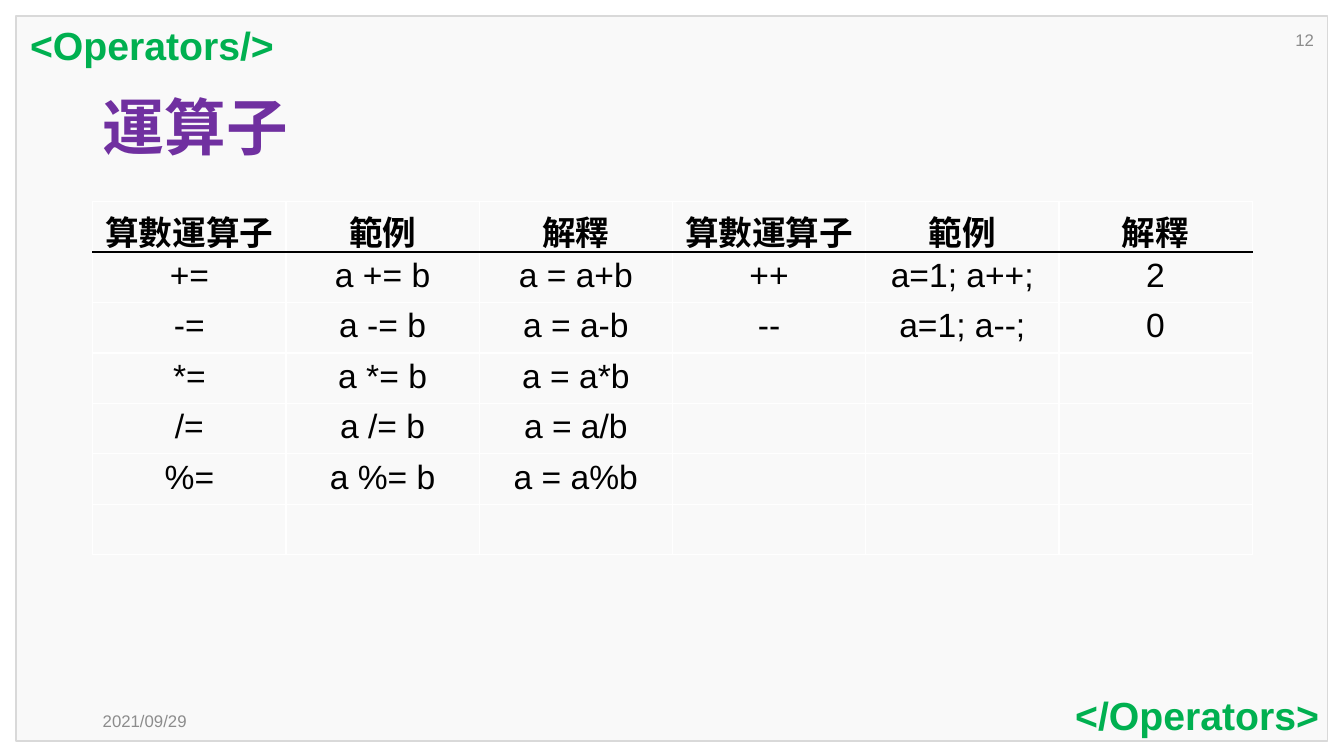
from lxml import etree
from pptx import Presentation
from pptx import util as u
from pptx.dml.color import RGBColor
from pptx.enum import shapes, text
from pptx.oxml import ns

TITLE = "運算子"
LABELS = [
    ("2021/09/29", (0.92, 6.95, 1.05, 0.4), dict(size=12, color="8C8C8C", anchor="MIDDLE")),
    ("12", (12.71, 0.2, 0.42, 0.4), dict(size=12, color="8C8C8C", align="RIGHT", anchor="MIDDLE")),
    ("<Operators/>", (0.2, 0.16, 2.65, 0.57), dict(size=28, color="00B050", bold=True, wrap=False)),
    ("</Operators>", (10.53, 6.81, 2.65, 0.57),
     dict(size=28, color="00B050", bold=True, align="RIGHT", wrap=False)),
]
HEADINGS = ["算數運算子", "範例", "解釋"] * 2
ROWS = [
    HEADINGS,
    ["+=", "a += b", "a = a+b", "++", "a=1; a++;", "2"],
    ["-=", "a -= b", "a = a-b", "--", "a=1; a--;", "0"],
    ["*=", "a *= b", "a = a*b"],
    ["/=", "a /= b", "a = a/b"],
    ["%=", "a %= b", "a = a%b"],
    [],
]
TABLE_WIDTH, ROW_HEIGHT = 11.5, 0.5


def rgb(value):
    return RGBColor.from_string(value)


def inches(box):
    return [u.Inches(length) for length in box]


def write(frame, content, size, color="000000", bold=False, align="LEFT",
          anchor="TOP", wrap=True, spacing=None):
    frame.word_wrap = wrap
    frame.vertical_anchor = getattr(text.MSO_ANCHOR, anchor)
    paragraph = frame.paragraphs[0]
    paragraph.alignment = getattr(text.PP_ALIGN, align)
    paragraph.line_spacing = spacing
    run = paragraph.add_run()
    run.text = content
    run.font.name = "Arial"
    run.font.size = u.Pt(size)
    run.font.bold = bold
    run.font.color.rgb = rgb(color)


def set_border(cell, side, color="000000"):
    line = etree.Element(ns.qn("a:ln" + side), w=str(u.Pt(1)))
    fill = etree.SubElement(line, ns.qn("a:solidFill"))
    etree.SubElement(fill, ns.qn("a:srgbClr"), val=color)
    cell._tc.get_or_add_tcPr().insert(0, line)


presentation = Presentation()
presentation.slide_width, presentation.slide_height = inches((13.33, 7.5))
slide = presentation.slides.add_slide(presentation.slide_layouts[5])

panel = slide.shapes.add_shape(shapes.MSO_SHAPE.RECTANGLE, *inches((0.16, 0.16, 13.01, 7.19)))
panel.shadow.inherit = False
panel.fill.solid()
panel.fill.fore_color.rgb = rgb("F9F9F9")
panel.line.color.rgb = rgb("D9D9D9")
panel.line.width = u.Pt(1)
slide.shapes._spTree.insert(2, panel._element)

title = slide.shapes.title
title.left, title.top, title.width, title.height = inches((0.92, 0.74, 10.74, 1.11))
write(title.text_frame, TITLE, size=44, color="7030A0", bold=True, anchor="MIDDLE", spacing=0.9)

for content, box, style in LABELS:
    label = slide.shapes.add_textbox(*inches(box))
    write(label.text_frame, content, **style)

table_box = (0.92, 2, TABLE_WIDTH, ROW_HEIGHT * len(ROWS))
table = slide.shapes.add_table(len(ROWS), len(HEADINGS), *inches(table_box)).table
table.horz_banding = False
for column in table.columns:
    column.width = u.Inches(TABLE_WIDTH / len(HEADINGS))
for row_index, row in enumerate(table.rows):
    row.height = u.Inches(ROW_HEIGHT)
    for column_index, cell in enumerate(row.cells):
        cell.fill.background()
        if row_index < 2:
            set_border(cell, "B" if row_index == 0 else "T")
        if column_index < len(ROWS[row_index]):
            write(cell.text_frame, ROWS[row_index][column_index], size=24,
                  bold=row_index == 0, align="CENTER")

presentation.save("out.pptx")
